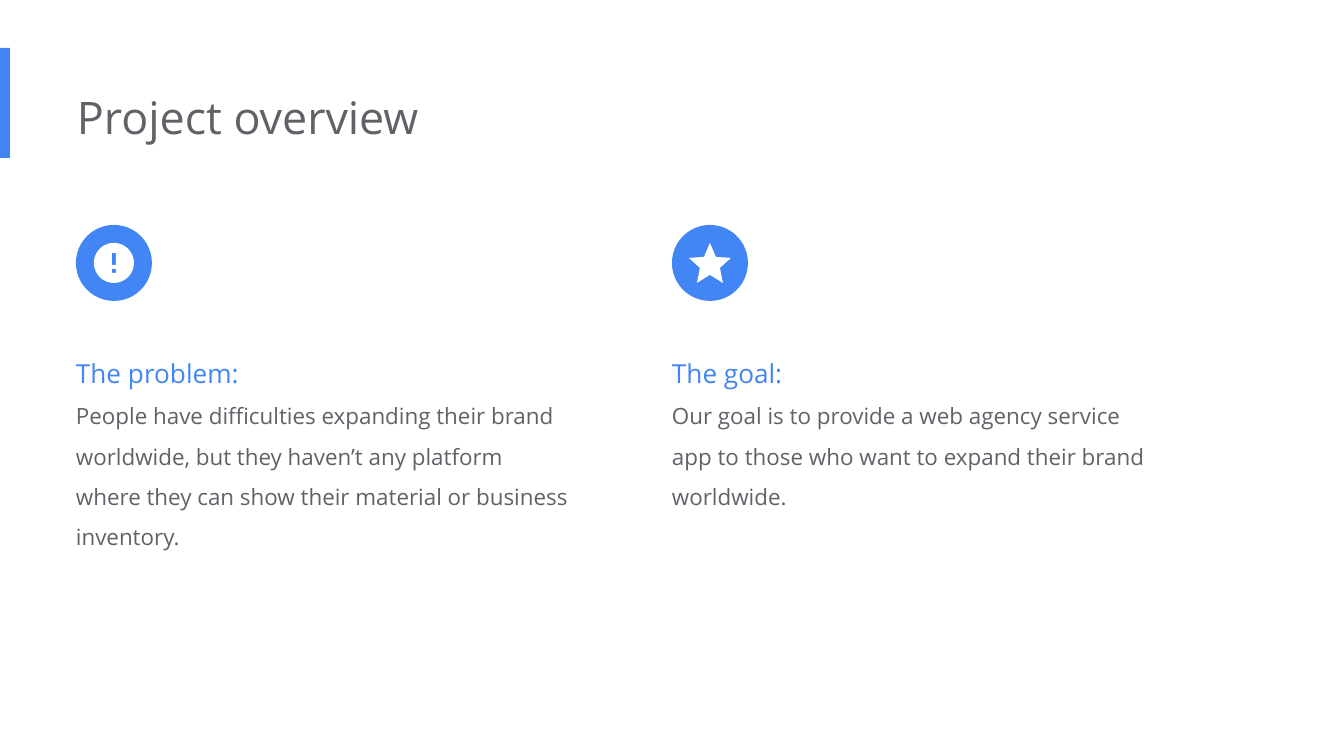
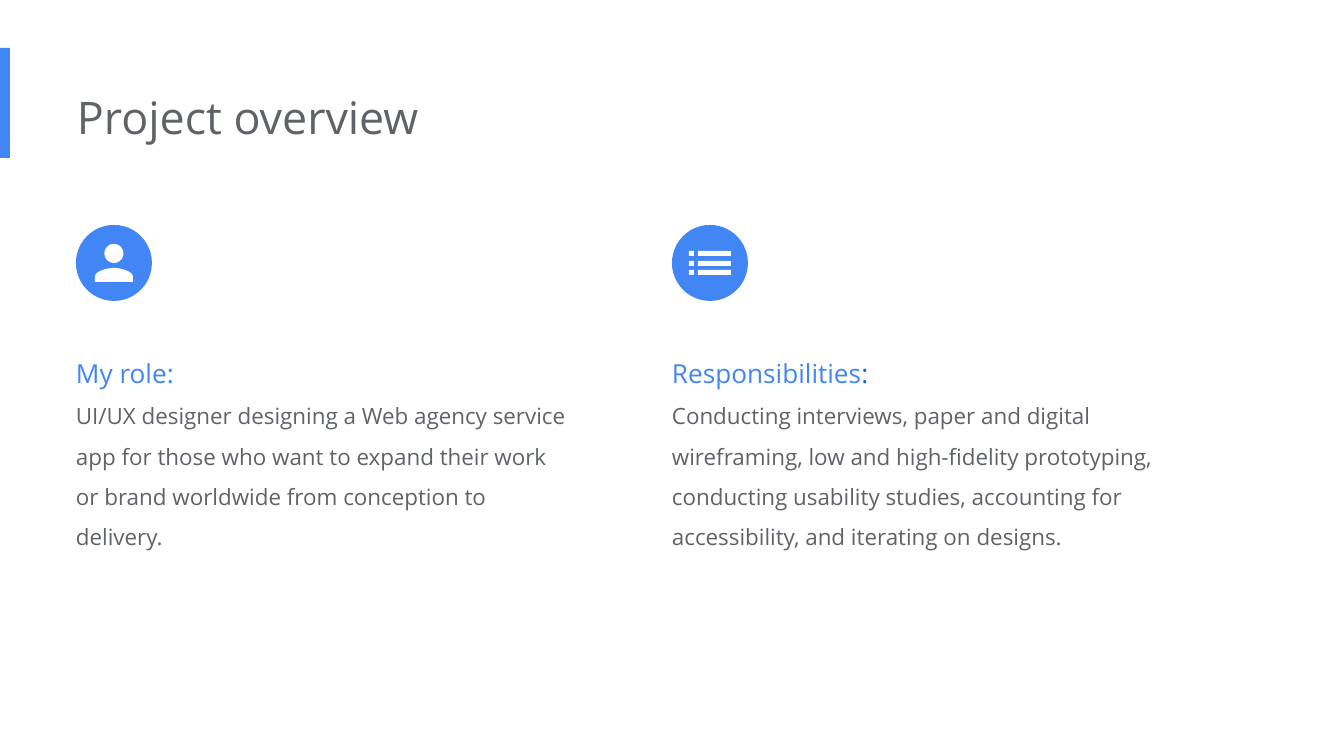
"""Build two project overview slides, each with two icon-led columns."""
import math
from dataclasses import dataclass

from pptx import Presentation
from pptx import util as u
from pptx.dml.color import RGBColor
from pptx.enum import shapes, text

PX = 914400 / 134.4


@dataclass(frozen=True)
class Theme:
    """Colours, font and type sizes of the deck."""
    blue: str = "4285F4"
    deep_blue: str = "1967D2"
    grey: str = "5F6368"
    white: str = "FFFFFF"
    font: str = "Open Sans"
    title: int = 24
    heading: int = 14
    body: int = 12


THEME = Theme()
TITLE = "Project overview"
PAGES = [
    [
        dict(icon="alert", lines=4, heading=[("The problem:", THEME.blue)],
             body="People have difficulties expanding their brand worldwide, but they "
                  "haven’t any platform where they can show their material or business "
                  "inventory."),
        dict(icon="star", lines=3, heading=[("The goal:", THEME.blue)],
             body="Our goal is to provide a web agency service app to those who want to "
                  "expand their brand worldwide."),
    ],
    [
        dict(icon="person", lines=4, heading=[("My role:", THEME.blue)],
             body="UI/UX designer designing a Web agency service app for those who want "
                  "to expand their work or brand worldwide from conception to delivery."),
        dict(icon="list", lines=4,
             heading=[("Responsibilities", THEME.blue), (":", THEME.deep_blue)],
             body="Conducting interviews, paper and digital wireframing, low and "
                  "high-fidelity prototyping, conducting usability studies, accounting "
                  "for accessibility, and iterating on designs."),
    ],
]

PAGE_SIZE = (1344, 756)
ACCENT_BAR = (0, 48, 10, 110)
TITLE_AREA = (77, 77, 904, 82)
COLUMN_LEFTS = (76, 672)
COLUMN_WIDTH = 507
BADGE_TOP, BADGE_SIZE = 225, 76
TEXT_TOP, TEXT_BASE, LINE_HEIGHT = 329, 77, 40
INSET = 13


def emu(*lengths):
    """Turn px lengths into EMU."""
    return [u.Emu(round(length * PX)) for length in lengths]


def disc(x, y, radius, steps=72):
    """Return the outline of a circle."""
    turns = [2 * math.pi * step / steps for step in range(steps)]
    return [(x + radius * math.cos(a), y + radius * math.sin(a)) for a in turns]


def block(x, y, width, height):
    """Return the outline of a rectangle."""
    return [(x, y), (x + width, y), (x + width, y + height), (x, y + height)]


def curve(*controls, steps=16):
    """Return points along a cubic curve."""
    points = []
    for step in range(steps + 1):
        t = step / steps
        weights = ((1 - t) ** 3, 3 * t * (1 - t) ** 2, 3 * t * t * (1 - t), t ** 3)
        points.append(tuple(sum(w * c[axis] for w, c in zip(weights, controls))
                            for axis in (0, 1)))
    return points


def mirrored(half):
    """Close a right-hand outline with its reflection."""
    return half + [(-x, y) for x, y in reversed(half) if x]


ICONS = {
    "alert": [disc(0, 0, 20), block(-2, -10, 4, 12), block(-2, 6, 4, 4)],
    "star": [mirrored([(0, -20), (6, -6), (21, -5), (10, 5), (13, 20), (0, 12)])],
    "person": [disc(0, -9.5, 9.5),
               mirrored(curve((0, 5), (6, 5), (19, 8), (19, 14)) + [(19, 19)])],
    "list": [block(x, y, width, 5)
             for x, width in ((-21, 5), (-12, 33)) for y in (-12, -2, 7)],
}


def paint(shape, color):
    """Give a shape a flat fill without line or shadow."""
    shape.fill.solid()
    shape.fill.fore_color.rgb = RGBColor.from_string(color)
    shape.line.fill.background()
    shape.shadow.inherit = False


def add_solid(page, kind, area, color):
    """Add a flat preset shape."""
    paint(page.shapes.add_shape(kind, *emu(*area)), color)


def add_icon(page, name, x, y):
    """Draw an icon's outlines around a centre."""
    outlines = [[emu(x + dx, y + dy) for dx, dy in outline] for outline in ICONS[name]]
    builder = page.shapes.build_freeform(*outlines[0][0], scale=1.0)
    for index, outline in enumerate(outlines):
        if index:
            builder.move_to(*outline[0])
        builder.add_line_segments(outline[1:], close=True)
    paint(builder.convert_to_shape(), THEME.white)


def add_text(page, area, paragraphs, spacing=1.0):
    """Add a text box; each paragraph is a size and its coloured spans."""
    frame = page.shapes.add_textbox(*emu(*area)).text_frame
    inset = emu(INSET)[0]
    layout = dict(word_wrap=True, auto_size=text.MSO_AUTO_SIZE.SHAPE_TO_FIT_TEXT,
                  margin_left=0, margin_top=inset, margin_right=inset,
                  margin_bottom=inset)
    for key, value in layout.items():
        setattr(frame, key, value)
    for index, (size, spans) in enumerate(paragraphs):
        para = frame.add_paragraph() if index else frame.paragraphs[0]
        para.line_spacing = spacing
        for words, color in spans:
            span = para.add_run()
            span.text = words
            for key, value in dict(name=THEME.font, size=u.Pt(size)).items():
                setattr(span.font, key, value)
            span.font.color.rgb = RGBColor.from_string(color)


def add_column(page, left, column):
    """Add a badge with its icon, heading and body."""
    add_solid(page, shapes.MSO_SHAPE.OVAL,
              (left, BADGE_TOP, BADGE_SIZE, BADGE_SIZE), THEME.blue)
    half = BADGE_SIZE / 2
    add_icon(page, column["icon"], left + half, BADGE_TOP + half)
    height = TEXT_BASE + LINE_HEIGHT * column["lines"]
    add_text(page, (left, TEXT_TOP, COLUMN_WIDTH, height),
             [(THEME.heading, column["heading"]),
              (THEME.body, [(column["body"], THEME.grey)])], spacing=1.5)


def main():
    """Build and save the deck."""
    deck = Presentation()
    deck.slide_width, deck.slide_height = emu(*PAGE_SIZE)
    for columns in PAGES:
        page = deck.slides.add_slide(deck.slide_layouts[6])
        add_solid(page, shapes.MSO_SHAPE.RECTANGLE, ACCENT_BAR, THEME.blue)
        add_text(page, TITLE_AREA, [(THEME.title, [(TITLE, THEME.grey)])])
        for left, column in zip(COLUMN_LEFTS, columns):
            add_column(page, left, column)
    deck.save("out.pptx")


if __name__ == "__main__":
    main()
